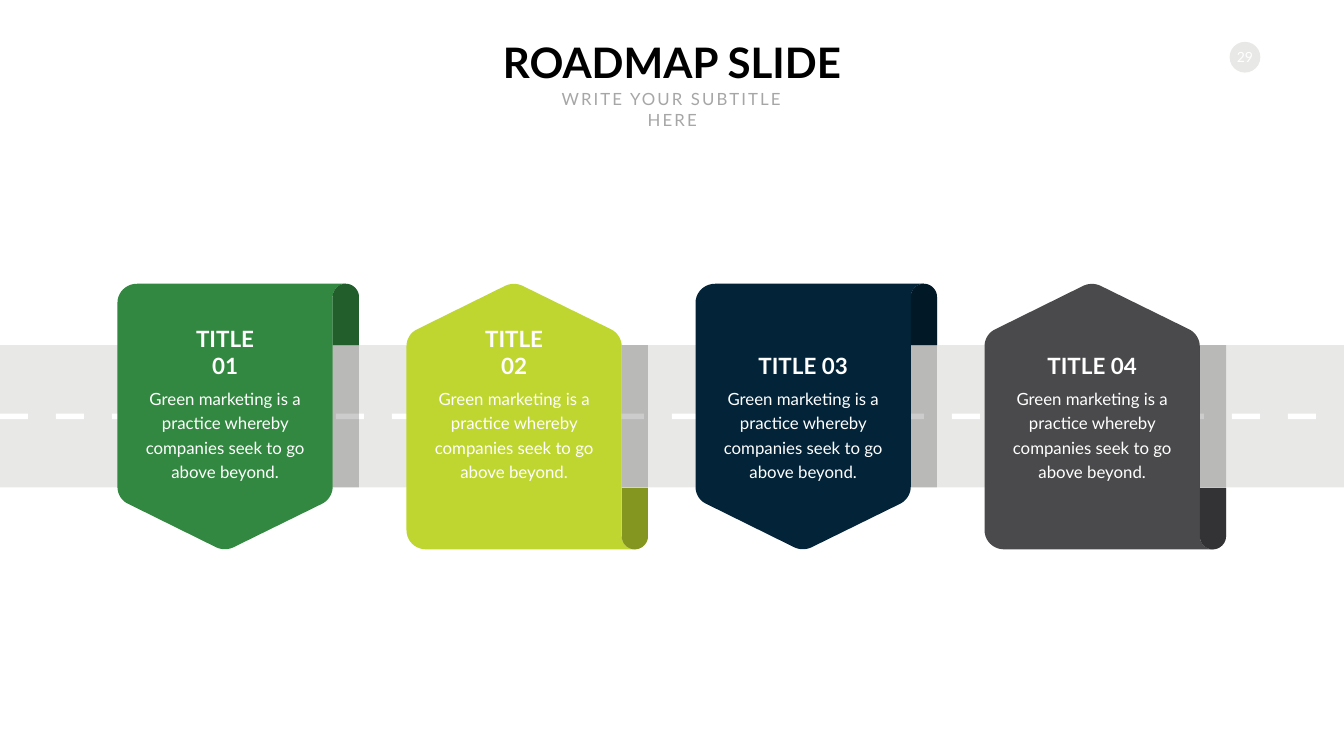
"""Build a roadmap slide with four ribbon signs along a road."""
from lxml import etree
from pptx import Presentation
from pptx.dml.color import RGBColor
from pptx.enum.shapes import MSO_SHAPE
from pptx.enum.text import MSO_ANCHOR, MSO_AUTO_SIZE, PP_ALIGN
from pptx.oxml.ns import qn
from pptx.util import Inches, Pt

RECT, OVAL = MSO_SHAPE.RECTANGLE, MSO_SHAPE.OVAL
TOP, MIDDLE, BOTTOM = MSO_ANCHOR.TOP, MSO_ANCHOR.MIDDLE, MSO_ANCHOR.BOTTOM
CENTER, FIXED = PP_ALIGN.CENTER, MSO_AUTO_SIZE.NONE

BLACK = RGBColor(0x00, 0x00, 0x00)
WHITE = RGBColor(0xFF, 0xFF, 0xFF)
PALE = RGBColor(0xE8, 0xE9, 0xE6)
GRAY = RGBColor(0xA6, 0xA6, 0xA6)
GREEN = RGBColor(0x32, 0x88, 0x40)
LIME = RGBColor(0xBE, 0xD6, 0x2F)
NAVY = RGBColor(0x02, 0x23, 0x38)
SLATE = RGBColor(0x4A, 0x4A, 0x4C)

TITLE = "ROADMAP SLIDE"
SUBTITLE = "WRITE YOUR SUBTITLE HERE"
PAGE = "29"
BODY = "Green marketing is a practice whereby companies seek to go above beyond."
SIGNS = [
    ("TITLE 01", GREEN, 1.88),
    ("TITLE 02", LIME, 1.96),
    ("TITLE 03", NAVY, 1.98),
    ("TITLE 04", SLATE, 2.01),
]

FORMATS = {
    "title": {"size": Pt(60), "bold": True, "color": BLACK},
    "subtitle": {"size": Pt(24), "bold": False, "color": GRAY},
    "page": {"size": Pt(20), "bold": False, "color": WHITE},
    "head": {"size": Pt(32), "bold": True, "color": WHITE},
    "body": {"size": Pt(24), "bold": False, "color": WHITE},
}

WIDE, HIGH = 26.66, 15
ROAD_TOP, ROAD_HIGH = 6.85, 2.82
DASHES, DASH_HIGH = 24, 0.11
SIGN_LEFT, SIGN_TOP, SIGN_HIGH = 2.33, 5.63, 5.27
STEP = 17.2 / 3
FACE, FOLD = 4.27, 0.52
EDGE, MID = FACE + FOLD, FACE + FOLD / 2
FOLD_HIGH = ROAD_TOP - SIGN_TOP
TEXT_TOP, TEXT_WIDE, TEXT_HIGH = 7.57, 3.47, 2.01

# Two numbers are a corner; six are the two handles and the end of a curve.
BANNER = [
    (MID, 0), (0.39, 0), (0.17, 0, 0, 0.17, 0, 0.38),
    (0, 4.03), (0, 4.17, 0.08, 4.31, 0.22, 4.37),
    (1.96, 5.23), (2.07, 5.28, 2.19, 5.28, 2.3, 5.23),
    (4.05, 4.37), (4.18, 4.31, FACE, 4.17, FACE, 4.03),
    (FACE, 0.26), (FACE, 0.12, 4.38, 0, MID, 0),
]
CURL = [
    (EDGE, FOLD_HIGH), (EDGE, 0.26), (EDGE, 0.12, 4.67, 0, MID, 0),
    (4.38, 0, FACE, 0.12, FACE, 0.26), (FACE, FOLD_HIGH),
]


def trace(parts, count=10):
    points = []
    for part in parts:
        if len(part) == 2:
            points.append(part)
            continue
        a, b, c, d = points[-1], part[:2], part[2:4], part[4:]
        for i in range(1, count + 1):
            t = i / count
            u = 1 - t
            points.append(tuple(
                u**3 * a[k] + 3 * u * u * t * b[k] + 3 * u * t * t * c[k] + t**3 * d[k]
                for k in (0, 1)))
    return points


def paint(shape, color, alpha=100):
    shape.shadow.inherit = False
    shape.line.fill.background()
    shape.fill.solid()
    shape.fill.fore_color.rgb = color
    if alpha < 100:
        tone = shape._element.spPr.find(qn("a:solidFill"))[0]
        etree.SubElement(tone, qn("a:alpha"), val=str(alpha * 1000))


def block(shapes, kind, box, color, alpha=100):
    shape = shapes.add_shape(kind, *map(Inches, box))
    paint(shape, color, alpha)
    return shape


def draw(shapes, loops, color, alpha=100):
    loops = [[(Inches(x), Inches(y)) for x, y in loop] for loop in loops]
    pen = shapes.build_freeform(*loops[0][0], scale=1.0)
    for i, loop in enumerate(loops):
        if i:
            pen.move_to(*loop[0])
        pen.add_line_segments(loop[1:], close=True)
    paint(pen.convert_to_shape(), color, alpha)


def write(shape, text, style, anchor=TOP):
    frame = shape.text_frame
    layout = {"word_wrap": True, "auto_size": FIXED, "vertical_anchor": anchor}
    for name, value in layout.items():
        setattr(frame, name, value)
    para = frame.paragraphs[0]
    para.alignment = CENTER
    run = para.add_run()
    run.text = text
    run.font.name = "Lato"
    for name, value in FORMATS[style].items():
        if name == "color":
            run.font.color.rgb = value
        else:
            setattr(run.font, name, value)
    return para


def label(shapes, box, text, style, anchor=TOP):
    return write(shapes.add_textbox(*map(Inches, box)), text, style, anchor)


def header(shapes):
    badge = block(shapes, OVAL, (24.39, 0.83, 0.61, 0.61), PALE)
    for side in ("left", "right", "top", "bottom"):
        setattr(badge.text_frame, "margin_" + side, 0)
    write(badge, PAGE, "page", MIDDLE)
    title = shapes.title
    place = {"left": 9.84, "top": 0.67, "width": 6.98, "height": 1.11}
    for name, value in place.items():
        setattr(title, name, Inches(value))
    write(title, TITLE, "title")
    para = label(shapes, (10.62, 1.72, 5.43, 0.5), SUBTITLE, "subtitle")
    para.runs[0].font._element.set("spc", "300")


def road(shapes):
    block(shapes, RECT, (0, ROAD_TOP, WIDE, ROAD_HIGH), PALE)
    pitch = WIDE / DASHES
    top = ROAD_TOP + (ROAD_HIGH - DASH_HIGH) / 2
    low = top + DASH_HIGH
    dashes = []
    for i in range(DASHES):
        left, right = i * pitch, (i + 0.5) * pitch
        dashes.append([(left, top), (right, top), (right, low), (left, low)])
    draw(shapes, dashes, WHITE)


def sign(shapes, index, head, color, width):
    left = SIGN_LEFT + index * STEP

    def set_out(parts):
        flip = index % 2
        return [[(left + x, SIGN_TOP + (SIGN_HIGH - y if flip else y))
                 for x, y in trace(parts)]]

    draw(shapes, set_out(BANNER), color)
    draw(shapes, set_out(CURL), color)
    block(shapes, RECT, (left + FACE, ROAD_TOP, FOLD, ROAD_HIGH), BLACK, 20)
    draw(shapes, set_out(CURL), BLACK, 30)
    mid = left + FACE / 2
    para = label(shapes, (mid - TEXT_WIDE / 2, TEXT_TOP, TEXT_WIDE, TEXT_HIGH),
                 BODY, "body")
    para.line_spacing = Pt(35)
    label(shapes, (mid - width / 2, 6.93, width, 0.64), head, "head", BOTTOM)


def main():
    deck = Presentation()
    deck.slide_width, deck.slide_height = Inches(WIDE), Inches(HIGH)
    shapes = deck.slides.add_slide(deck.slide_layouts[5]).shapes
    header(shapes)
    road(shapes)
    for index, item in enumerate(SIGNS):
        sign(shapes, index, *item)
    deck.save("out.pptx")


if __name__ == "__main__":
    main()
